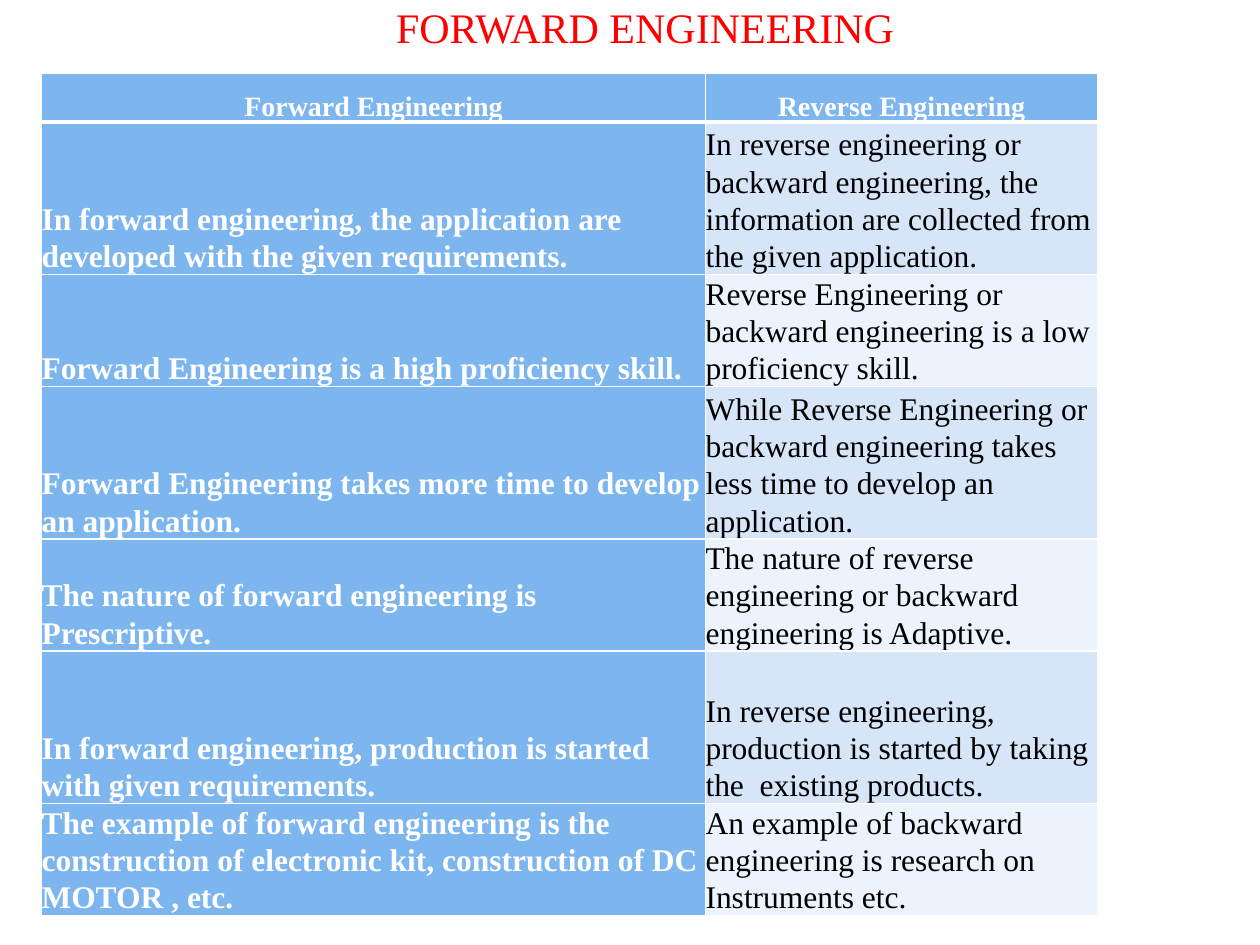
from dataclasses import dataclass

from lxml.etree import SubElement
from pptx import Presentation
from pptx.dml.color import RGBColor
from pptx.enum.text import MSO_ANCHOR, PP_ALIGN
from pptx.oxml.ns import qn
from pptx.util import Inches, Pt


@dataclass(frozen=True)
class Theme:
    font: str = "Times New Roman"
    title_size: int = 24
    header_size: int = 16
    body_size: int = 18
    title: str = "FF0000"
    light_text: str = "FFFFFF"
    dark_text: str = "000000"
    border: str = "FFFFFF"
    accent: str = "7DB6EF"
    bands: tuple = ("D7E5F9", "ECF3FC")


THEME = Theme()
COLUMN_WIDTHS = (5.27, 3.11)
HEADER_HEIGHT = 0.39
ROW_HEIGHTS = (1.21, 0.8)  # alternate below the header
HEADINGS = ("Forward Engineering", "Reverse Engineering")
COMPARISONS = [
    ("In forward engineering, the application are developed with the given requirements.",
     "In reverse engineering or backward engineering, the information are collected "
     "from the given application."),
    ("Forward Engineering is a high proficiency skill.",
     "Reverse Engineering or backward engineering is a low proficiency skill."),
    ("Forward Engineering takes more time to develop an application.",
     "While Reverse Engineering or backward engineering takes less time to develop "
     "an application."),
    ("The nature of forward engineering is Prescriptive.",
     "The nature of reverse engineering or backward engineering is Adaptive."),
    ("In forward engineering, production is started with given requirements.",
     "In reverse engineering, production is started by taking the  existing products."),
    ("The example of forward engineering is the construction of electronic kit, "
     "construction of DC MOTOR , etc.",
     "An example of backward engineering is research on Instruments etc."),
]


def style_text(paragraph, size, color, bold, align):
    paragraph.alignment = align
    font = paragraph.font
    font.name = THEME.font
    font.size = Pt(size)
    font.bold = bold
    font.color.rgb = RGBColor.from_string(color)


def set_borders(cell, bottom):
    """Draw 1 pt borders, with the given width in points at the bottom."""
    properties = cell._tc.get_or_add_tcPr()
    for side, width in (("L", 1), ("R", 1), ("T", 1), ("B", bottom)):
        line = SubElement(properties, qn(f"a:ln{side}"), w=str(Pt(width)))
        fill = SubElement(line, qn("a:solidFill"))
        SubElement(fill, qn("a:srgbClr"), val=THEME.border)


def fill_cell(cell, text, fill, size, color, bold, align=PP_ALIGN.LEFT, bottom=1):
    cell.margin_left = cell.margin_right = cell.margin_top = cell.margin_bottom = 0
    cell.vertical_anchor = MSO_ANCHOR.BOTTOM
    set_borders(cell, bottom)
    cell.fill.solid()
    cell.fill.fore_color.rgb = RGBColor.from_string(fill)
    cell.text = text
    paragraph = cell.text_frame.paragraphs[0]
    paragraph.line_spacing = 1.07
    style_text(paragraph, size, color, bold, align)


def add_title(slide, text):
    title = slide.shapes.title
    title.left, title.top = Inches(0.08), Inches(-0.25)
    title.width, title.height = Inches(10.08), Inches(0.92)
    title.text_frame.text = text
    title.text_frame.vertical_anchor = MSO_ANCHOR.MIDDLE
    style_text(title.text_frame.paragraphs[0], THEME.title_size, THEME.title,
               False, PP_ALIGN.CENTER)


def add_comparison_table(slide):
    heights = [HEADER_HEIGHT] + [ROW_HEIGHTS[i % 2] for i in range(len(COMPARISONS))]
    table = slide.shapes.add_table(
        len(heights), len(COLUMN_WIDTHS), Inches(0.33), Inches(0.58),
        Inches(sum(COLUMN_WIDTHS)), Inches(sum(heights))).table
    table.first_col = True
    for column, width in zip(table.columns, COLUMN_WIDTHS):
        column.width = Inches(width)
    for row, height in zip(table.rows, heights):
        row.height = Inches(height)

    for column, heading in enumerate(HEADINGS):
        fill_cell(table.cell(0, column), heading, THEME.accent, THEME.header_size,
                  THEME.light_text, True, PP_ALIGN.CENTER, bottom=3)
    for index, (forward, reverse) in enumerate(COMPARISONS):
        fill_cell(table.cell(index + 1, 0), forward, THEME.accent,
                  THEME.body_size, THEME.light_text, True)
        fill_cell(table.cell(index + 1, 1), reverse, THEME.bands[index % 2],
                  THEME.body_size, THEME.dark_text, False)


def main():
    presentation = Presentation()
    presentation.slide_width, presentation.slide_height = Inches(10), Inches(7.5)
    slide = presentation.slides.add_slide(presentation.slide_layouts[5])
    add_title(slide, "FORWARD ENGINEERING")
    add_comparison_table(slide)
    presentation.save("out.pptx")


if __name__ == "__main__":
    main()
